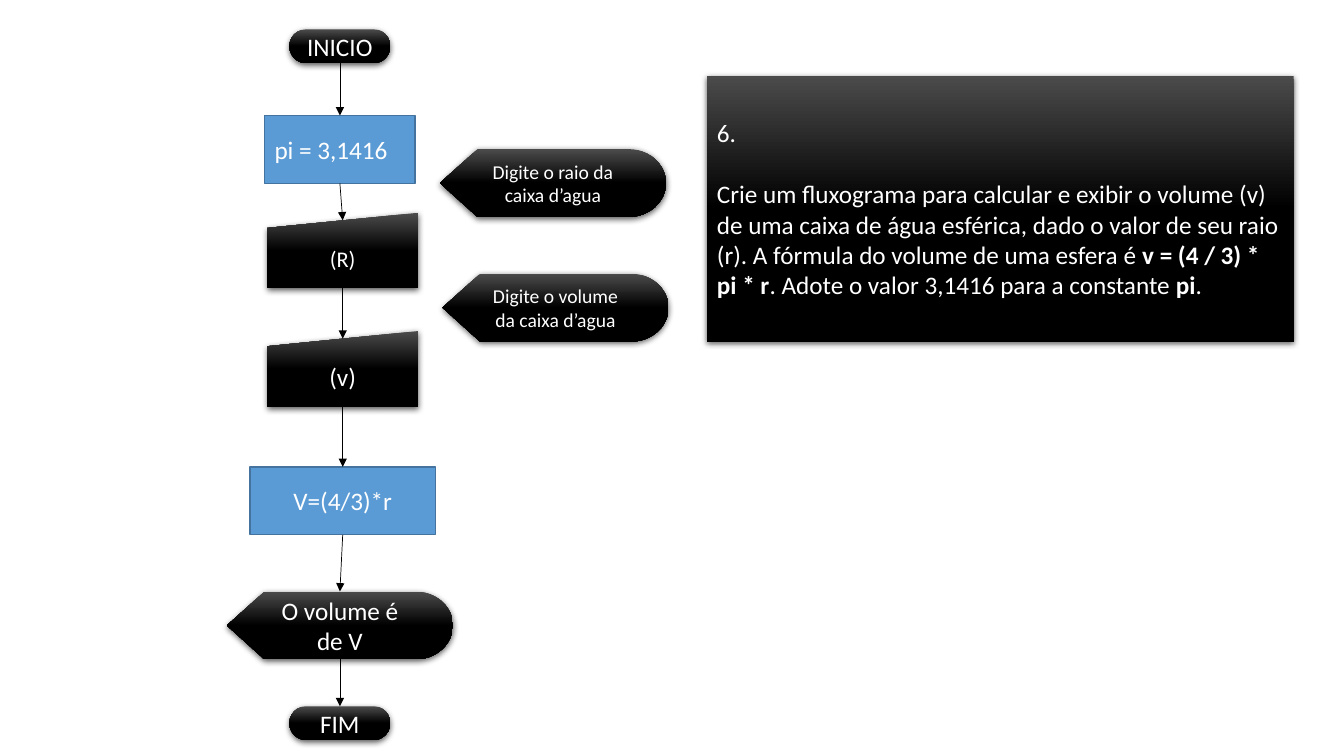
"""Build a flowchart slide that computes the volume of a spherical water tank."""
from itertools import pairwise

from lxml import etree
from pptx import Presentation
from pptx.dml.color import RGBColor
from pptx.enum.shapes import MSO_CONNECTOR, MSO_SHAPE
from pptx.enum.text import MSO_ANCHOR, PP_ALIGN
from pptx.oxml import parse_xml
from pptx.oxml.ns import nsdecls, qn
from pptx.util import Pt

COLORS = {"sheen": "4B4B4B", "black": "000000", "blue": "5B9BD5",
          "blue_edge": "43739E", "text": "FFFFFF"}
FONT = "Calibri"
TERMINATOR = MSO_SHAPE.FLOWCHART_TERMINATOR
PROCESS = MSO_SHAPE.FLOWCHART_PROCESS
INPUT = MSO_SHAPE.FLOWCHART_MANUAL_INPUT
DISPLAY = MSO_SHAPE.FLOWCHART_DISPLAY
SIZES = {TERMINATOR: (72, 24), PROCESS: (107.5, 48.5),
         INPUT: (107.5, 54), DISPLAY: (161.5, 48.5)}
INPUT_SLOPE = 0.1
TOP_SITE, BOTTOM_SITE = 0, 2

STEPS = [
    {"kind": TERMINATOR, "text": "INICIO", "center": 242.8, "top": 21},
    {"kind": PROCESS, "text": "pi = 3,1416", "center": 242.8, "top": 82.5,
     "align": PP_ALIGN.LEFT},
    {"kind": INPUT, "text": "(R)", "center": 244.8, "top": 152, "size": 16},
    {"kind": INPUT, "text": "(v)", "center": 244.8, "top": 236.5},
    {"kind": PROCESS, "text": "V=(4/3)*r", "center": 244.8, "top": 333.5,
     "width": 132.5},
    {"kind": DISPLAY, "text": "O volume é de V", "center": 242.8, "top": 422.5},
    {"kind": TERMINATOR, "text": "FIM", "center": 242.8, "top": 504.5},
]
PROMPTS = [
    {"kind": DISPLAY, "text": "Digite o raio da caixa d’agua",
     "center": 395, "top": 106.5, "size": 14},
    {"kind": DISPLAY, "text": "Digite o volume da caixa d’agua",
     "center": 396.8, "top": 195.5, "size": 14},
]
EXERCISE_BOX = (505, 54, 419, 190)
EXERCISE = [
    [("6.", False)],
    [("Crie um fluxograma para calcular e exibir o volume (v) de uma caixa de "
      "água esférica, dado o valor de seu raio (r). A fórmula do volume de uma "
      "esfera é ", False),
     ("v = (4 / 3) * pi * r", True),
     (". Adote o valor 3,1416 para a constante ", False),
     ("pi", True), (". ", False)],
]


def color(name):
    return RGBColor.from_string(COLORS[name])


def style_blue(shape):
    shape.fill.solid()
    shape.fill.fore_color.rgb = color("blue")
    shape.line.color.rgb = color("blue_edge")
    shape.line.width = Pt(1)


def style_glossy(shape):
    shape.fill.gradient()
    shape.fill.gradient_angle = 270
    for stop, position, name in zip(shape.fill.gradient_stops, (0, 0.5),
                                    ("sheen", "black")):
        stop.position = position
        stop.color.rgb = color(name)
    shape.line.fill.background()
    effects = shape._element.spPr.find(qn("a:effectLst"))
    effects.append(parse_xml(
        f'<a:outerShdw {nsdecls("a")} blurRad="{Pt(4.5)}" dist="{Pt(1.5)}" '
        f'dir="5400000" algn="ctr" rotWithShape="0">'
        f'<a:srgbClr val="{COLORS["black"]}"><a:alpha val="63000"/></a:srgbClr>'
        f'</a:outerShdw>'))


def add_block(slide, kind, box, paragraphs, size=18, align=PP_ALIGN.CENTER):
    shape = slide.shapes.add_shape(kind, *map(Pt, box))
    shape.shadow.inherit = False
    (style_blue if kind == PROCESS else style_glossy)(shape)
    frame = shape.text_frame
    frame.word_wrap = True
    frame.vertical_anchor = MSO_ANCHOR.MIDDLE
    for index, runs in enumerate(paragraphs):
        paragraph = frame.add_paragraph() if index else frame.paragraphs[0]
        paragraph.alignment = align
        paragraph.space_before = Pt(22 if index else 0)
        for text, bold in runs:
            run = paragraph.add_run()
            run.text = text
            run.font.name = FONT
            run.font.size = Pt(size)
            run.font.bold = bold
            run.font.color.rgb = color("text")
    return shape


def add_step(slide, kind, text, center, top, width=None, **style):
    default_width, height = SIZES[kind]
    width = width or default_width
    box = (center - width / 2, top, width, height)
    return add_block(slide, kind, box, [[(text, False)]], **style)


def add_arrow(slide, source, target):
    connector = slide.shapes.add_connector(MSO_CONNECTOR.STRAIGHT, 0, 0, 0, 0)
    connector.begin_connect(source, BOTTOM_SITE)
    connector.end_connect(target, TOP_SITE)
    if target.auto_shape_type == INPUT:
        connector.end_y = target.top + int(target.height * INPUT_SLOPE)
    connector.line.color.rgb = color("black")
    connector.line.width = Pt(0.5)
    etree.SubElement(connector.line._get_or_add_ln(), qn("a:tailEnd"), type="triangle")
    etree.SubElement(connector._element.spPr, qn("a:effectLst"))


presentation = Presentation()
presentation.slide_width, presentation.slide_height = Pt(960), Pt(540)
slide = presentation.slides.add_slide(presentation.slide_layouts[6])

flow = [add_step(slide, **step) for step in STEPS]
for source, target in pairwise(flow):
    add_arrow(slide, source, target)
for prompt in PROMPTS:
    add_step(slide, **prompt)
add_block(slide, MSO_SHAPE.RECTANGLE, EXERCISE_BOX, EXERCISE, align=PP_ALIGN.LEFT)

presentation.save("out.pptx")
